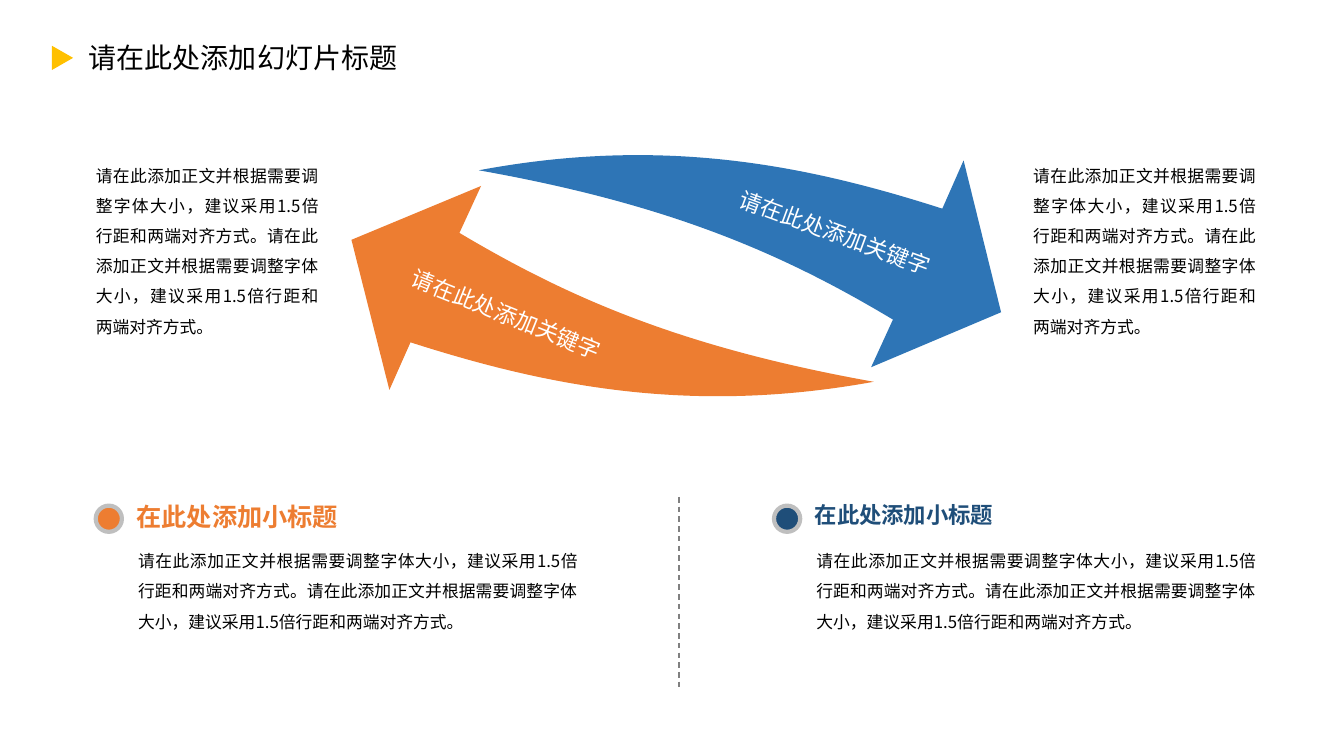
"""Build a slide with two opposed curved arrows and two captioned sections."""

from dataclasses import dataclass

import pptx
import pptx.dml.color
import pptx.enum.dml
import pptx.enum.shapes
import pptx.enum.text
import pptx.oxml
import pptx.oxml.ns
import pptx.util

Pt = pptx.util.Pt
Align = pptx.enum.text.PP_ALIGN
Shapes = pptx.enum.shapes.MSO_SHAPE

COLORS = {
    "blue": "2E75B6",
    "navy": "1F4E79",
    "orange": "ED7D31",
    "yellow": "FFC000",
    "ring": "BFBFBF",
    "divider": "808080",
    "white": "FFFFFF",
    "black": "000000",
}
CJK_FONT = "Noto Sans CJK SC"
LATIN_FONT = "Calibri"
SENTENCE = "请在此添加正文并根据需要调整字体大小，建议采用1.5倍行距和两端对齐方式。"
BODY_TEXT = SENTENCE * 2
KEYWORD = "请在此处添加关键字"
ARROW_WIDTH, ARROW_HEIGHT, ARROW_ROTATION = 386.6, 159.8, 15.1
TIP = (0, 97)
OUTER_CURVE = ((119.4, 39.5), (223.3, 32.3), (326.8, 37.2))
HEAD = ((332.5, 0), (386.6, 97.7), (307.2, 159.8), (313.4, 122.9))
INNER_CURVE = ((227, 98.4), (139.8, 84.7), TIP)


@dataclass(frozen=True)
class Box:
    left: float
    top: float
    width: float
    height: float


@dataclass(frozen=True)
class TextStyle:
    size: float
    color: str
    font: str = CJK_FONT
    bold: bool = False
    align: Align = Align.LEFT
    line_spacing: float = 1.0
    wrap: bool = True
    side_margin: float = 0


@dataclass(frozen=True)
class Arrow:
    color: str
    reflected: bool
    box: Box
    label_box: Box
    label_rotation: float
    label_align: Align


@dataclass(frozen=True)
class Section:
    left: float
    color: str
    heading_size: float


BODY_STYLE = TextStyle(12, "black", align=Align.JUSTIFY, line_spacing=1.5)
TITLE_STYLE = TextStyle(20, "black", LATIN_FONT, wrap=False, side_margin=7.2)
ARROWS = (
    Arrow("blue", False, Box(339.8, 75.6, 386.6, 159.8),
          Box(522.7, 152.6, 145.4, 26.6), 20.2, Align.RIGHT),
    Arrow("orange", True, Box(239.8, 159.8, 386.6, 157.7),
          Box(289.8, 211.5, 145.4, 26.6), 21.8, Align.LEFT),
)
SIDE_TEXT_LEFTS = (738, 68.4)
SECTIONS = (Section(68.4, "orange", 18), Section(552.9, "navy", 16))


def rgb(color: str) -> pptx.dml.color.RGBColor:
    """Return the named colour."""
    return pptx.dml.color.RGBColor.from_string(COLORS[color])


def place(shape, box: Box) -> None:
    """Move and size a shape."""
    shape.left, shape.top = Pt(box.left), Pt(box.top)
    shape.width, shape.height = Pt(box.width), Pt(box.height)


def write(shape, text: str, style: TextStyle) -> None:
    """Fill a shape with one styled paragraph."""
    frame = shape.text_frame
    frame.text = text
    frame.auto_size = pptx.enum.text.MSO_AUTO_SIZE.NONE
    frame.word_wrap = style.wrap
    frame.vertical_anchor = pptx.enum.text.MSO_ANCHOR.TOP
    frame.margin_left = frame.margin_right = Pt(style.side_margin)
    frame.margin_top = frame.margin_bottom = Pt(3.6)
    paragraph = frame.paragraphs[0]
    paragraph.alignment = style.align
    paragraph.line_spacing = style.line_spacing
    font = paragraph.runs[0].font
    font.size = Pt(style.size)
    font.bold = style.bold
    font.color.rgb = rgb(style.color)
    font.name = style.font
    east_asian = pptx.oxml.parse_xml(
        f'<a:ea {pptx.oxml.ns.nsdecls("a")} typeface="{CJK_FONT}"/>'
    )
    font._element.find(pptx.oxml.ns.qn("a:latin")).addnext(east_asian)


def add_text(slide, box: Box, text: str, style: TextStyle, rotation: float = 0) -> None:
    """Add a text box."""
    shape = slide.shapes.add_textbox(0, 0, 0, 0)
    place(shape, box)
    shape.rotation = rotation
    write(shape, text, style)


def paint(shape, color: str) -> None:
    """Give a shape a plain fill without line or shadow."""
    shape.shadow.inherit = False
    shape.fill.solid()
    shape.fill.fore_color.rgb = rgb(color)
    shape.line.fill.background()


def add_preset(slide, kind: Shapes, box: Box, color: str):
    """Add a filled preset shape."""
    shape = slide.shapes.add_shape(kind, 0, 0, 0, 0)
    place(shape, box)
    paint(shape, color)
    return shape


def bend(segments: list) -> None:
    """Merge three line segments into one cubic curve."""
    curve = pptx.oxml.parse_xml(f'<a:cubicBezTo {pptx.oxml.ns.nsdecls("a")}/>')
    segments[0].addprevious(curve)
    for segment in segments:
        curve.append(segment[0])
        segment.getparent().remove(segment)


def add_arrow(slide, arrow: Arrow) -> None:
    """Add a curved arrow and its keyword."""
    outline = [TIP, *OUTER_CURVE, *HEAD, *INNER_CURVE]
    if arrow.reflected:
        outline = [(ARROW_WIDTH - x, ARROW_HEIGHT - y) for x, y in outline]
    vertices = [(Pt(x), Pt(y)) for x, y in outline]
    builder = slide.shapes.build_freeform(*vertices[0])
    builder.add_line_segments(vertices[1:], close=True)
    shape = builder.convert_to_shape()
    segments = list(shape._element.iter(pptx.oxml.ns.qn("a:lnTo")))
    inner_start = len(OUTER_CURVE) + len(HEAD)
    bend(segments[:3])
    bend(segments[inner_start:inner_start + 3])
    place(shape, arrow.box)
    shape.rotation = ARROW_ROTATION
    paint(shape, arrow.color)
    style = TextStyle(16, "white", LATIN_FONT, align=arrow.label_align, wrap=False)
    add_text(slide, arrow.label_box, KEYWORD, style, arrow.label_rotation)


def add_section(slide, section: Section) -> None:
    """Add a dot, a heading and body text."""
    dot = add_preset(slide, Shapes.OVAL, Box(section.left, 361.2, 18.7, 18.7), section.color)
    dot.line.color.rgb = rgb("ring")
    dot.line.width = Pt(3)
    style = TextStyle(section.heading_size, section.color, bold=True, side_margin=7.2)
    add_text(slide, Box(section.left + 22, 354.7, 319, 29), "在此处添加小标题", style)
    add_text(slide, Box(section.left + 30.2, 382.7, 314, 72.7), BODY_TEXT, BODY_STYLE)


def add_divider(slide) -> None:
    """Add the dashed line between the sections."""
    line = slide.shapes.add_connector(
        pptx.enum.shapes.MSO_CONNECTOR.STRAIGHT, Pt(485), Pt(355), Pt(485), Pt(491.8)
    )
    line.line.color.rgb = rgb("divider")
    line.line.width = Pt(1)
    line.line.dash_style = pptx.enum.dml.MSO_LINE.DASH
    effects = pptx.oxml.parse_xml(f'<a:effectLst {pptx.oxml.ns.nsdecls("a")}/>')
    line._element.spPr.append(effects)


def main() -> None:
    """Create and save the presentation."""
    presentation = pptx.Presentation()
    presentation.slide_width, presentation.slide_height = Pt(960), Pt(540)
    slide = presentation.slides.add_slide(presentation.slide_layouts.get_by_name("Title Only"))
    place(slide.shapes.title, Box(56.2, 25.2, 236.9, 31.7))
    write(slide.shapes.title, "请在此处添加幻灯片标题", TITLE_STYLE)
    marker = add_preset(slide, Shapes.ISOSCELES_TRIANGLE, Box(36, 33.8, 17.3, 15.1), "yellow")
    marker.rotation = 90
    for arrow in ARROWS:
        add_arrow(slide, arrow)
    for left in SIDE_TEXT_LEFTS:
        add_text(slide, Box(left, 107.3, 159.1, 138.2), BODY_TEXT, BODY_STYLE)
    for section in SECTIONS:
        add_section(slide, section)
    add_divider(slide)
    presentation.save("out.pptx")


if __name__ == "__main__":
    main()
